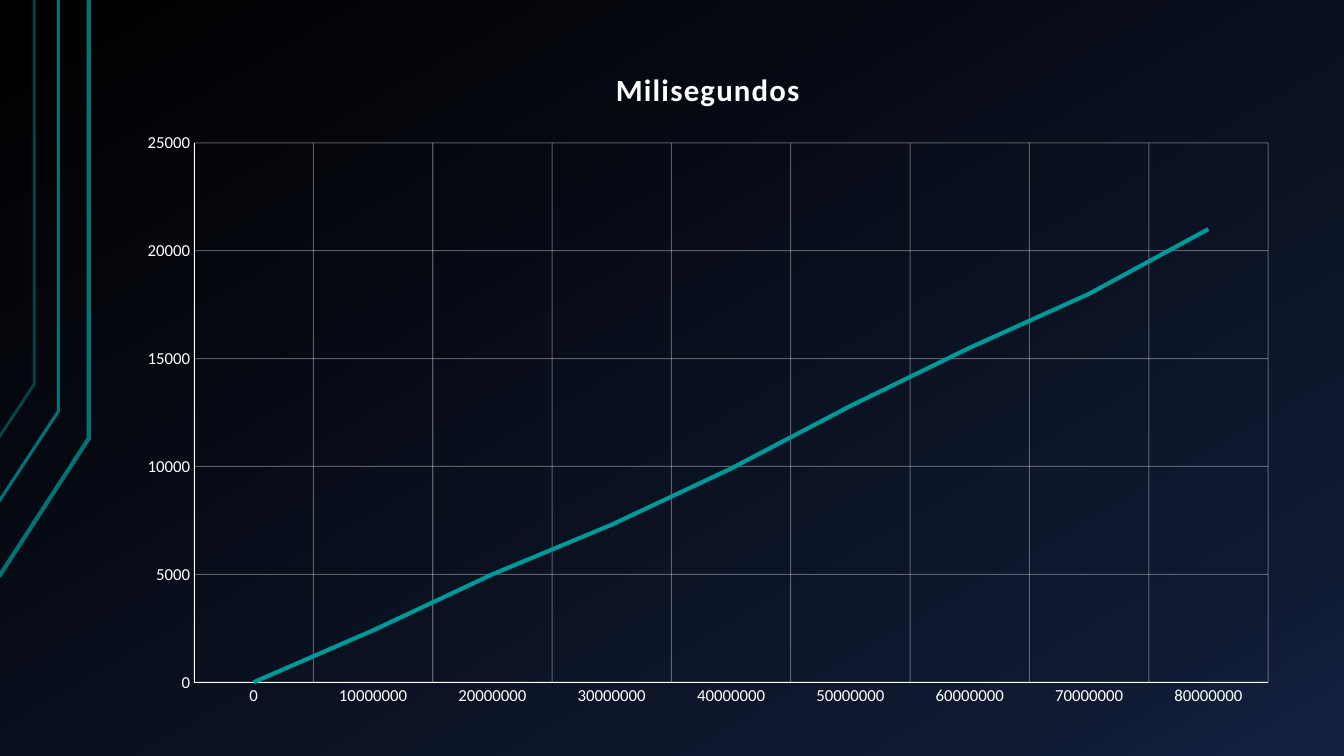
import copy

import pptx
import pptx.chart.data
import pptx.dml.color
import pptx.enum.chart
import pptx.oxml
import pptx.oxml.ns
import pptx.util
from pptx.util import Inches

COLORS = {
    "black": "000000",
    "navy": "0F1931",
    "blue": "142242",
    "circuit": "007373",
    "series": "009999",
    "text": "FFFFFF",
}
FONT = "Calibri"


class SlideBuilder:
    def __init__(self, slide):
        self.slide = slide

    def color(self, name):
        return pptx.dml.color.RGBColor.from_string(COLORS[name])

    def set_alpha(self, line, percent):
        """Make a solid line colour partly transparent."""
        for solid in line.fill._xPr.xpath(".//a:solidFill/a:srgbClr"):
            alpha = pptx.oxml.parse_xml(
                f'<a:alpha {pptx.oxml.ns.nsdecls("a")} val="{percent * 1000}"/>')
            solid.append(alpha)

    def style_line(self, line, color, width, alpha=100):
        line.color.rgb = self.color(color)
        line.width = pptx.util.Pt(width)
        if alpha < 100:
            self.set_alpha(line, alpha)

    def style_font(self, font, size, bold=False):
        font.name = FONT
        font.size = pptx.util.Pt(size)
        font.bold = bold
        font.color.rgb = self.color("text")

    def background(self, stops, angle):
        fill = self.slide.background.fill
        fill.gradient()
        fill.gradient_angle = 360 - angle
        stop_list = self.slide.element.xpath(".//p:bg//a:gsLst")[0]
        while len(stop_list) < len(stops):
            stop_list.append(copy.deepcopy(stop_list[0]))
        for stop, (position, name) in zip(fill.gradient_stops, stops):
            stop.position = position
            stop.color.rgb = self.color(name)

    def circuit_line(self, points, width, alpha=100):
        start, *rest = [(Inches(x), Inches(y)) for x, y in points]
        builder = self.slide.shapes.build_freeform(*start)
        builder.add_line_segments(rest, close=False)
        trace = builder.convert_to_shape()
        trace.shadow.inherit = False
        trace.fill.background()
        self.style_line(trace.line, "circuit", width, alpha)

    def style_axis(self, axis):
        axis.major_tick_mark = pptx.enum.chart.XL_TICK_MARK.NONE
        axis.minor_tick_mark = pptx.enum.chart.XL_TICK_MARK.NONE
        self.style_font(axis.tick_labels.font, 12)
        self.style_line(axis.format.line, "text", 0.25)
        axis.has_major_gridlines = True
        self.style_line(axis.major_gridlines.format.line, "text", 0.75, 32)

    def place_plot(self, chart, x, y, w, h):
        """Fix the inner plot area as fractions of the chart."""
        plot_area = chart.element.xpath(".//c:plotArea")[0]
        for automatic in plot_area.xpath("c:layout"):
            plot_area.remove(automatic)
        edges = "".join(f'<c:{tag} val="{value}"/>' for tag, value in
                        (("xMode", "edge"), ("yMode", "edge"),
                         ("x", x), ("y", y), ("w", w), ("h", h)))
        plot_area.insert(0, pptx.oxml.parse_xml(
            f'<c:layout {pptx.oxml.ns.nsdecls("c")}><c:manualLayout>'
            f'<c:layoutTarget val="inner"/>{edges}</c:manualLayout></c:layout>'))

    def line_chart(self, box, name, categories, values):
        data = pptx.chart.data.CategoryChartData()
        data.categories = categories
        data.add_series(name, values)
        chart = self.slide.shapes.add_chart(
            pptx.enum.chart.XL_CHART_TYPE.LINE, *map(Inches, box), data).chart
        self.style_font(chart.font, 10)
        chart.has_legend = False

        # Title
        chart.has_title = True
        chart.chart_title.include_in_layout = False
        heading = chart.chart_title.text_frame.paragraphs[0]
        heading.text = name
        self.style_font(heading.font, 22, bold=True)
        for properties in chart.element.xpath(".//c:title//a:defRPr"):
            properties.set("spc", "100")

        # Axes
        self.style_axis(chart.category_axis)
        self.style_axis(chart.value_axis)
        chart.value_axis.minimum_scale = 0
        chart.value_axis.maximum_scale = 25000
        chart.value_axis.major_unit = 5000

        # Series
        chart.plots[0].vary_by_categories = False
        series = chart.plots[0].series[0]
        series.smooth = False
        series.marker.style = pptx.enum.chart.XL_MARKER_STYLE.NONE
        self.style_line(series.format.line, "series", 3)
        self.place_plot(chart, 0.06, 0.146, 0.92, 0.8)


def main():
    deck = pptx.Presentation()
    deck.slide_width, deck.slide_height = Inches(13.33), Inches(7.5)
    page = SlideBuilder(deck.slides.add_slide(deck.slide_layouts[6]))

    # Background and circuit lines
    page.background([(0, "black"), (0.85, "navy"), (1, "blue")], angle=60)
    page.circuit_line([(-0.01, 5.72), (0.88, 4.35), (0.88, 0)], 3)
    page.circuit_line([(-0.02, 4.99), (0.58, 4.08), (0.58, 0)], 2.25)
    page.circuit_line([(-0.01, 4.34), (0.34, 3.81), (0.34, 0)], 2, alpha=60)

    # Running time by input size
    sizes = [str(step * 10_000_000) for step in range(9)]
    milliseconds = [0, 2400, 5000, 7300, 9900, 12800, 15500, 18000, 21000]
    page.line_chart((1.23, 0.44, 11.58, 6.69), "Milisegundos", sizes, milliseconds)

    deck.save("out.pptx")


if __name__ == "__main__":
    main()
